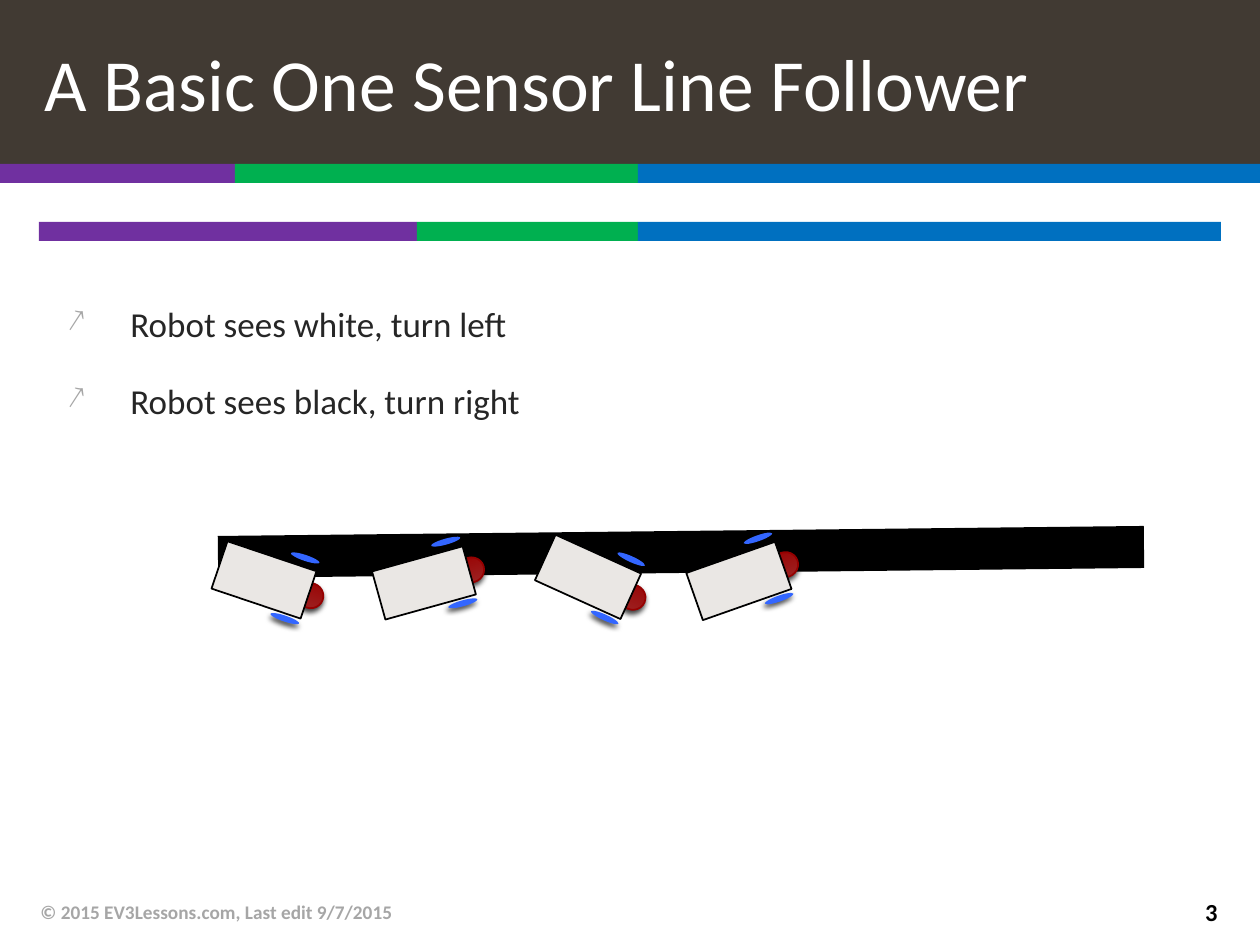
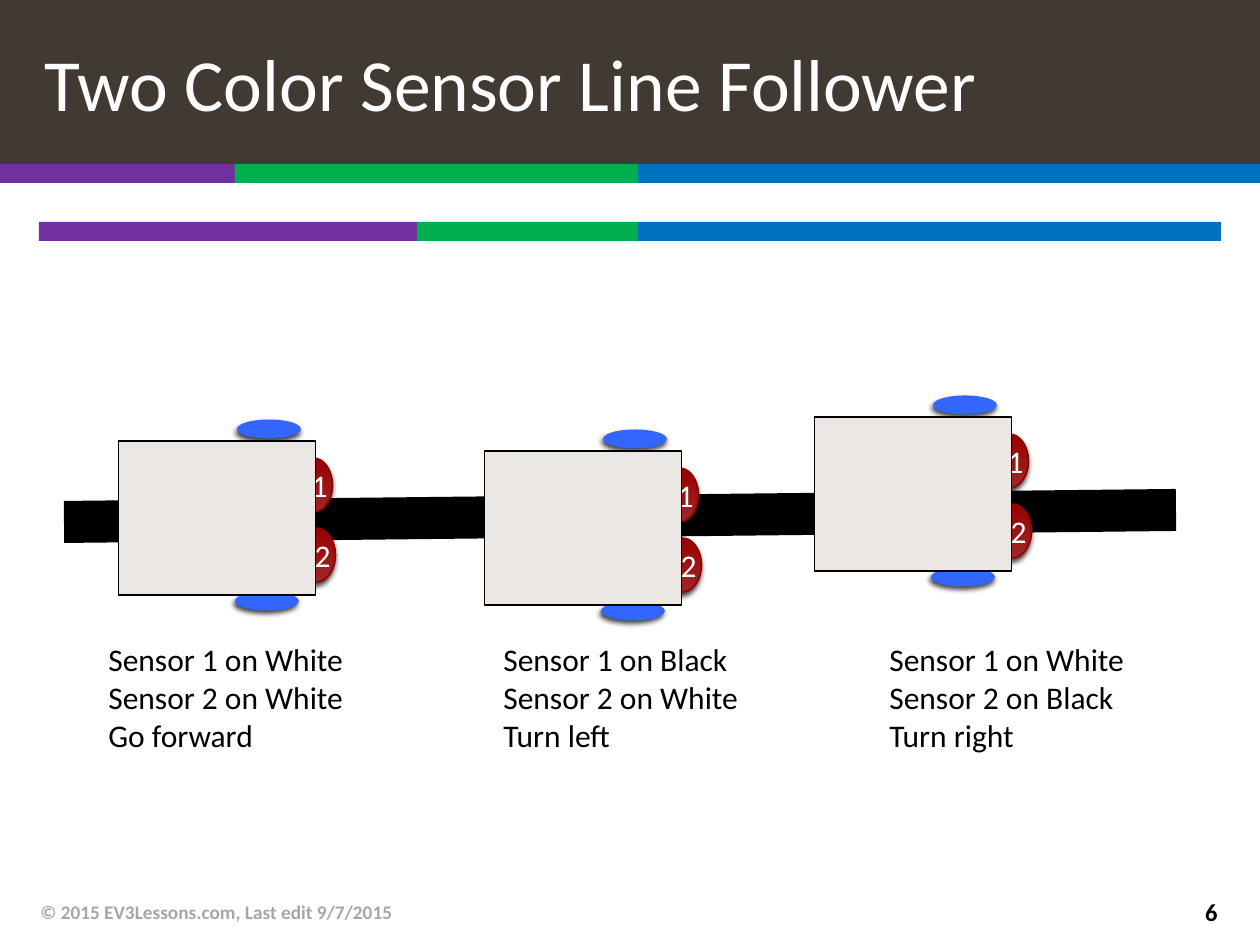
from math import cos, radians, sin

from lxml import etree
from pptx import Presentation
from pptx.dml.color import RGBColor
from pptx.enum.shapes import MSO_CONNECTOR, MSO_SHAPE
from pptx.enum.text import MSO_ANCHOR, MSO_AUTO_SIZE, PP_ALIGN
from pptx.oxml.ns import qn
from pptx.util import Emu, Pt

RECTANGLE = MSO_SHAPE.RECTANGLE
OVAL = MSO_SHAPE.OVAL
STRAIGHT = MSO_CONNECTOR.STRAIGHT
TOP, MIDDLE = MSO_ANCHOR.TOP, MSO_ANCHOR.MIDDLE
LEFT, RIGHT, CENTER = PP_ALIGN.LEFT, PP_ALIGN.RIGHT, PP_ALIGN.CENTER
NO_AUTOFIT = MSO_AUTO_SIZE.NONE

PIXELS_PER_INCH = 126
FONT = "Calibri"
WHITE, BLACK, GREY, DARK = "FFFFFF", "000000", "A6A6A6", "262626"
TITLE_FILL = "413A33"
BAND_COLORS = ("7030A0", "00B050", "0070C0")
BODY_FILL, WHEEL_FILL = "EAE7E4", "3366FF"
SENSOR_STOPS, SENSOR_LINE = ("9D2828", "990000"), "960000"

SMALL_ROBOT = {
    "body": (94, 50),
    "wheel": (30, 6),
    "sensor": (26, 25),
    "wheels": ((32, -34), (32, 30)),
    "sensors": ((49, 0, ""),),
}
LARGE_ROBOT = {
    "body": (197, 154),
    "wheel": (64, 19),
    "sensor": (39, 54),
    "wheels": ((52, -89), (50, 83)),
    "sensors": ((96, -33, "1"), (99, 37, "2")),
}


def px(value):
    return Emu(round(value * 914400 / PIXELS_PER_INCH))


def color(value):
    return RGBColor.from_string(value)


def add_run(paragraph, text, size, text_color, bold=False):
    run = paragraph.add_run()
    run.text = text
    run.font.name = FONT
    run.font.size = Pt(size)
    run.font.bold = bold
    run.font.color.rgb = color(text_color)


def add_text(slide, box, lines, size, text_color, bold=False, align=LEFT, anchor=TOP):
    frame = slide.shapes.add_textbox(*map(px, box)).text_frame
    frame.word_wrap = True
    frame.vertical_anchor = anchor
    for index, line in enumerate(lines):
        paragraph = frame.paragraphs[0] if index == 0 else frame.add_paragraph()
        paragraph.alignment = align
        add_run(paragraph, line, size, text_color, bold)
    return frame


def add_shape(shapes, kind, box, fill=None, line=None):
    shape = shapes.add_shape(kind, *map(px, box))
    shape.shadow.inherit = False
    if fill:
        shape.fill.solid()
        shape.fill.fore_color.rgb = color(fill)
    if line:
        shape.line.color.rgb = color(line)
        shape.line.width = Pt(1)
    else:
        shape.line.fill.background()
    return shape


def add_shadow(shape):
    effects = shape._element.spPr.find(qn("a:effectLst"))
    shadow = etree.SubElement(
        effects, qn("a:outerShdw"), blurRad=str(Pt(3)), dist=str(Pt(2)),
        dir=str(110 * 60000), rotWithShape="0")
    shadow_color = etree.SubElement(shadow, qn("a:srgbClr"), val=BLACK)
    etree.SubElement(shadow_color, qn("a:alpha"), val="75000")


def add_bands(slide, edges, top):
    for left, right, fill in zip(edges, edges[1:], BAND_COLORS):
        add_shape(slide.shapes, RECTANGLE, (left, top, right - left, 19), fill)


def add_title(slide, box, text):
    title = slide.shapes.title
    title.left, title.top, title.width, title.height = map(px, box)
    title.fill.solid()
    title.fill.fore_color.rgb = color(TITLE_FILL)
    frame = title.text_frame
    frame.auto_size = NO_AUTOFIT
    frame.word_wrap = True
    frame.vertical_anchor = MIDDLE
    paragraph = frame.paragraphs[0]
    paragraph.alignment = LEFT
    paragraph._p.get_or_add_pPr().set("marL", str(px(32)))
    add_run(paragraph, text, 42, WHITE)


def add_base_slide(presentation, title, number):
    slide = presentation.slides.add_slide(presentation.slide_layouts[5])
    add_title(slide, (0, 0, 1260, 164), title)
    add_bands(slide, (0, 235, 638, 1260), 164)
    add_bands(slide, (39, 417, 638, 1221), 222)
    add_text(slide, (28, 887, 844, 50), ["© 2015 EV3Lessons.com, Last edit 9/7/2015"],
             11, GREY, True, anchor=MIDDLE)
    add_text(slide, (1143, 887, 87, 50), [number], 14, BLACK, True, RIGHT, MIDDLE)
    return slide


def add_bullets(slide, box, lines):
    frame = add_text(slide, box, lines, 20, DARK)
    for index, paragraph in enumerate(frame.paragraphs):
        properties = paragraph._p.get_or_add_pPr()
        properties.set("marL", str(px(63)))
        properties.set("indent", str(px(-63)))
        bullet_color = etree.SubElement(properties, qn("a:buClr"))
        etree.SubElement(bullet_color, qn("a:srgbClr"), val=GREY)
        etree.SubElement(properties, qn("a:buSzPct"), val="90000")
        etree.SubElement(properties, qn("a:buChar"), char="↗")
        if index:
            paragraph.space_before = Pt(20)


def add_track(slide, start, end):
    track = slide.shapes.add_connector(STRAIGHT, *map(px, start + end))
    track.line.color.rgb = color(BLACK)
    track.line.width = Pt(24)
    etree.SubElement(track._element.spPr, qn("a:effectLst"))


def add_robot(slide, center, design, angle=0):
    shapes = slide.shapes.add_group_shape().shapes
    cosine, sine = cos(radians(angle)), sin(radians(angle))

    def add_part(kind, size, across, down, fill=None, line=None):
        left = center[0] + across * cosine - down * sine - size[0] / 2
        top = center[1] + across * sine + down * cosine - size[1] / 2
        part = add_shape(shapes, kind, (left, top, *size), fill, line)
        part.rotation = angle
        return part

    for across, down in design["wheels"]:
        add_shadow(add_part(OVAL, design["wheel"], across, down, WHEEL_FILL))
    for across, down, label in design["sensors"]:
        sensor = add_part(OVAL, design["sensor"], across, down, line=SENSOR_LINE)
        sensor.fill.gradient()
        sensor.fill.gradient_angle = 90
        for stop, stop_color in zip(sensor.fill.gradient_stops, SENSOR_STOPS):
            stop.color.rgb = color(stop_color)
        add_shadow(sensor)
        if label:
            sensor.text_frame.vertical_anchor = MIDDLE
            paragraph = sensor.text_frame.paragraphs[0]
            paragraph.alignment = CENTER
            add_run(paragraph, label, 18, WHITE)
    add_part(RECTANGLE, design["body"], 0, 0, BODY_FILL, BLACK)


def build_one_sensor_slide(presentation):
    slide = add_base_slide(presentation, "A Basic One Sensor Line Follower", "3")
    add_bullets(slide, (55, 296, 757, 155),
                ["Robot sees white, turn left", "Robot sees black, turn right"])
    add_track(slide, (1144, 547), (218, 557))
    for center, angle in (((264, 580), 18.6), ((424, 583), -15.5),
                          ((588, 577), 24.4), ((739, 581), -19.4)):
        add_robot(slide, center, SMALL_ROBOT, angle)


def build_two_sensor_slide(presentation):
    slide = add_base_slide(presentation, "Two Color Sensor Line Follower", "6")
    add_track(slide, (1176, 510), (64, 522))
    cases = (
        ((217, 518), 96, 328, "White", "White", "Go forward"),
        ((583, 528), 491, 316, "Black", "White", "Turn left"),
        ((913, 494), 877, 278, "White", "Black", "Turn right"),
    )
    for center, left, width, first, second, action in cases:
        add_robot(slide, center, LARGE_ROBOT)
        add_text(slide, (left, 634, width, 127),
                 [f"Sensor 1 on {first}", f"Sensor 2 on {second}", action], 18, BLACK)


def main():
    presentation = Presentation()
    presentation.slide_width, presentation.slide_height = px(1260), px(945)
    build_one_sensor_slide(presentation)
    build_two_sensor_slide(presentation)
    presentation.save("out.pptx")


if __name__ == "__main__":
    main()
